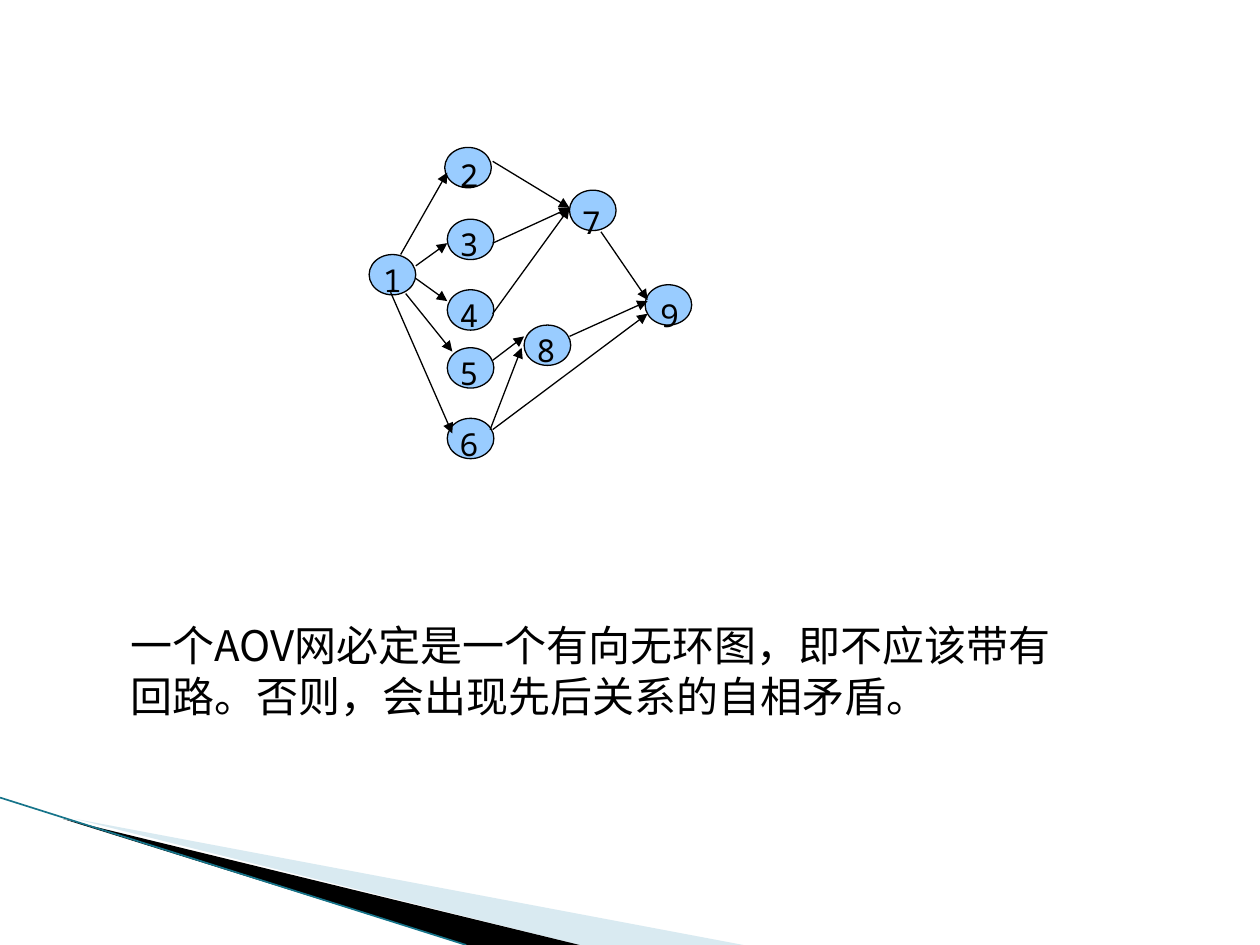
from dataclasses import dataclass

from lxml.etree import SubElement
from pptx import Presentation
from pptx.dml.color import RGBColor
from pptx.enum.shapes import MSO_CONNECTOR, MSO_SHAPE
from pptx.oxml.ns import qn
from pptx.util import Inches, Pt

COLS, ROWS = 100, 75
CELL = Inches(0.1)


@dataclass(frozen=True)
class Theme:
    ink: str = "000000"
    node: str = "99CCFF"
    pale: str = "A0CBDC"
    edge: str = "16748A"
    digit_font: str = "Noto Sans Mono"
    body_font: str = "Noto Sans CJK SC"
    digit_size: float = 18
    body_size: float = 24
    body_leading: float = 28.8
    line: float = 0.75
    edge_line: float = 0.95


@dataclass(frozen=True)
class Node:
    """Top left corner of a circle and the shift of its digit, in cells."""
    label: str
    col: float
    row: float
    dx: float = 0
    dy: float = 0


@dataclass(frozen=True)
class Arrow:
    start: tuple[float, float]
    end: tuple[float, float]


@dataclass(frozen=True)
class Wedge:
    points: tuple[tuple[float, float], ...]
    color: str
    opacity: int = 100


THEME = Theme()
NODE_SIZE = (3.7, 3.2)
DIGIT_SIZE = (3.2, 2.8)
HUB = (45.2, 16.5)

NODES = (
    Node("1", 29.3, 20.2, 0.1),
    Node("2", 35.3, 11.7, 0.2, 0.2),
    Node("3", 35.5, 17.4),
    Node("4", 35.5, 23),
    Node("5", 35.5, 27.6),
    Node("6", 35.5, 33.2),
    Node("7", 45.2, 15.1, 0, 0.5),
    Node("8", 41.6, 25.8),
    Node("9", 51.2, 22.6, 0.2, 0.4),
)
ARROWS = (
    Arrow((31.8, 20.2), (35.5, 13.7)),
    Arrow((33, 21.1), (35.5, 19.3)),
    Arrow((33, 22.1), (35.5, 23.9)),
    Arrow((32.2, 23.3), (35.9, 27.9)),
    Arrow((31, 23.2), (35.9, 34.4)),
    Arrow((39.1, 12.8), HUB),
    Arrow((39.1, 19.3), HUB),
    Arrow((39.1, 24.9), HUB),
    Arrow((39.1, 28.6), (41.6, 26.7)),
    Arrow((38.9, 34.1), (41.4, 27.6)),
    Arrow((47.7, 18.4), (51.4, 23.8)),
    Arrow((45.2, 26.7), (51.4, 23.9)),
    Arrow((39.1, 34.1), (51.4, 24.9)),
)
WEDGES = (
    Wedge(((5.5, 65), (59.2, ROWS), (45.6, ROWS)), THEME.pale, 40),
    Wedge(((5.3, 64.9), (45.5, ROWS), (37, ROWS)), THEME.ink),
)
BODY = "一个AOV网必定是一个有向无环图，即不应该带有回路。否则，会出现先后关系的自相矛盾。"


def cells(*values: float) -> list[int]:
    return [round(v * CELL) for v in values]


def paint(fill, color: str) -> None:
    fill.solid()
    fill.fore_color.rgb = RGBColor.from_string(color)


def add_line(shapes, start, end, color: str, width: float, arrow: bool = False):
    cn = shapes.add_connector(MSO_CONNECTOR.STRAIGHT, *cells(*start, *end))
    paint(cn.line.fill, color)
    cn.line.width = Pt(width)
    if arrow:
        SubElement(cn.line._get_or_add_ln(), qn("a:tailEnd"), type="triangle")
    SubElement(cn._element.spPr, qn("a:effectLst"))


def add_wedge(shapes, wedge: Wedge) -> None:
    first, *rest = wedge.points
    fb = shapes.build_freeform(*first, scale=CELL)
    fb.add_line_segments(rest, close=True)
    sp = fb.convert_to_shape()
    sp.shadow.inherit = False
    paint(sp.fill, wedge.color)
    sp.line.fill.background()
    if wedge.opacity < 100:
        clr = sp._element.spPr.find(qn("a:solidFill"))[0]
        SubElement(clr, qn("a:alpha"), val=str(wedge.opacity * 1000))


def add_text(shapes, box, text: str, font: str, size: float, **frame):
    tf = shapes.add_textbox(*cells(*box)).text_frame
    for name, value in {"word_wrap": True, **frame}.items():
        setattr(tf, name, value)
    p = tf.paragraphs[0]
    r = p.add_run()
    r.text = text
    for name, value in {"name": font, "size": Pt(size)}.items():
        setattr(r.font, name, value)
    paint(r.font.fill, THEME.ink)
    SubElement(r.font._element, qn("a:ea"), typeface=font)
    return p


def add_node(shapes, node: Node) -> None:
    sp = shapes.add_shape(MSO_SHAPE.OVAL, *cells(node.col, node.row, *NODE_SIZE))
    sp.shadow.inherit = False
    paint(sp.fill, THEME.node)
    paint(sp.line.fill, THEME.ink)
    sp.line.width = Pt(THEME.line)
    add_text(shapes, (node.col + node.dx, node.row + node.dy, *DIGIT_SIZE),
             node.label, THEME.digit_font, THEME.digit_size)


def main() -> None:
    prs = Presentation()
    prs.slide_width, prs.slide_height = cells(COLS, ROWS)
    s = prs.slides.add_slide(prs.slide_layouts[6])
    for wedge in WEDGES:
        add_wedge(s.shapes, wedge)
    add_line(s.shapes, (0, 63.3), (37, ROWS), THEME.edge, THEME.edge_line)
    graph = s.shapes.add_group_shape().shapes
    for node in NODES:
        add_node(graph, node)
    for arrow in ARROWS:
        add_line(graph, arrow.start, arrow.end, THEME.ink, THEME.line, arrow=True)
    p = add_text(s.shapes, (9.4, 48.4, 75.8, 9.1), BODY, THEME.body_font,
                 THEME.body_size, margin_top=Inches(0.08), margin_bottom=Inches(0.02))
    p.line_spacing = Pt(THEME.body_leading)
    prs.save("out.pptx")


if __name__ == "__main__":
    main()
